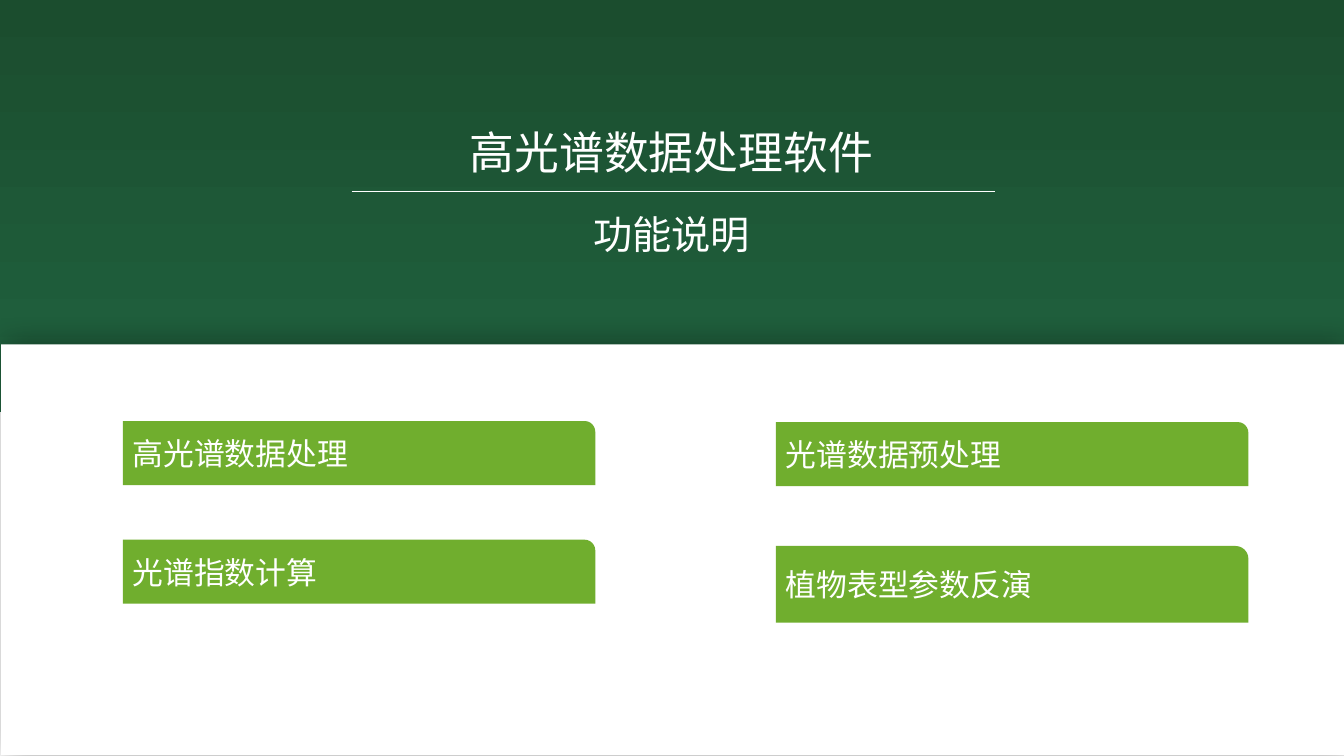
import lxml.etree
import pptx
import pptx.dml.color
import pptx.enum.shapes
import pptx.enum.text
import pptx.oxml
import pptx.oxml.ns
import pptx.util

PX = 9525  # EMU per px, 96 px to the inch
FONT = "Noto Sans CJK SC"
WHITE = pptx.dml.color.RGBColor(0xFF, 0xFF, 0xFF)
LEAF_GREEN = pptx.dml.color.RGBColor(0x70, 0xAE, 0x2E)
DARK_GREEN = pptx.dml.color.RGBColor(0x1B, 0x4D, 0x2E)
MID_GREEN = pptx.dml.color.RGBColor(0x20, 0x62, 0x3F)
SHAPES = pptx.enum.shapes.MSO_SHAPE
ALIGN = pptx.enum.text.PP_ALIGN
ANCHOR = pptx.enum.text.MSO_ANCHOR
AUTO_SIZE = pptx.enum.text.MSO_AUTO_SIZE

PANEL_SHADOW = (
    f'<a:effectLst {pptx.oxml.ns.nsdecls("a")}>'
    f'<a:outerShdw blurRad="{22 * 12700}" dist="{3 * 12700}" dir="0" algn="ctr" rotWithShape="0">'
    '<a:srgbClr val="000000"><a:alpha val="40000"/></a:srgbClr>'
    '</a:outerShdw></a:effectLst>'
)


def emu(*lengths):
    return [pptx.util.Emu(length * PX) for length in lengths]


def write_text(shape, text, size, alignment, anchor, auto_size=AUTO_SIZE.NONE):
    frame = shape.text_frame
    frame.word_wrap = True
    frame.auto_size = auto_size
    frame.vertical_anchor = anchor
    paragraph = frame.paragraphs[0]
    paragraph.text = text
    paragraph.alignment = alignment
    font = paragraph.font
    font.size = pptx.util.Pt(size)
    font.color.rgb = WHITE
    font.name = FONT
    # East Asian typeface, next to the Latin one
    latin = paragraph._p.pPr.find(".//" + pptx.oxml.ns.qn("a:latin"))
    east_asian = lxml.etree.Element(pptx.oxml.ns.qn("a:ea"), typeface=FONT)
    latin.addnext(east_asian)


def add_block(slide, kind, box, color=None):
    shape = slide.shapes.add_shape(kind, *emu(*box))
    shape.shadow.inherit = False
    shape.line.fill.background()
    if color is not None:
        shape.fill.solid()
        shape.fill.fore_color.rgb = color
    return shape


def add_background(slide, box):
    left, top, width, height = box

    # Green header band
    band = add_block(slide, SHAPES.RECTANGLE, (left, top, width, 392))
    band.fill.gradient()
    band.fill.gradient_angle = 270
    for stop, color in zip(band.fill.gradient_stops, (DARK_GREEN, MID_GREEN)):
        stop.color.rgb = color

    # White panel with a soft shadow over the band
    panel = add_block(slide, SHAPES.RECTANGLE, (left + 1, top + 328, width, height - 329), WHITE)
    properties = panel.element.spPr
    properties.remove(properties.find(pptx.oxml.ns.qn("a:effectLst")))
    properties.append(pptx.oxml.parse_xml(PANEL_SHADOW))


def add_heading(slide, box):
    left, top, width, height = box

    # Software name
    name_box = slide.shapes.add_textbox(*emu(left, top, width, 61))
    write_text(name_box, "高光谱数据处理软件", 32, ALIGN.CENTER, ANCHOR.TOP,
               AUTO_SIZE.SHAPE_TO_FIT_TEXT)

    # Slide title, brought in front of the background
    title = slide.shapes.title
    title.left, title.top, title.width, title.height = emu(left, top + 54, width, height - 54)
    write_text(title, "功能说明", 28, ALIGN.CENTER, ANCHOR.MIDDLE)
    slide.shapes.element.append(title.element)

    # Divider
    divider = slide.shapes.add_connector(
        pptx.enum.shapes.MSO_CONNECTOR.STRAIGHT,
        *emu(left + 102, top + 68, left + width - 98, top + 68))
    divider.line.color.rgb = WHITE
    divider.line.width = pptx.util.Pt(0.25)
    divider.element.spPr.append(lxml.etree.Element(pptx.oxml.ns.qn("a:effectLst")))


def add_functions(slide, box):
    left, top, width, _ = box
    tag_width = 450
    right = left + width - tag_width
    tags = [
        ("高光谱数据处理", left, 0, 61),
        ("光谱指数计算", left, 113, 61),
        ("光谱数据预处理", right, 1, 61),
        ("植物表型参数反演", right, 119, 73),
    ]
    for text, tag_left, offset, height in tags:
        tag = add_block(slide, SHAPES.ROUND_1_RECTANGLE,
                        (tag_left, top + offset, tag_width, height), LEAF_GREEN)
        write_text(tag, text, 22, ALIGN.LEFT, ANCHOR.MIDDLE)


def main():
    presentation = pptx.Presentation()
    presentation.slide_width, presentation.slide_height = emu(1280, 720)
    slide = presentation.slides.add_slide(presentation.slide_layouts[5])
    add_background(slide, (0, 0, 1280, 720))
    add_heading(slide, (233, 114, 813, 164))
    add_functions(slide, (117, 401, 1072, 192))
    presentation.save("out.pptx")


if __name__ == "__main__":
    main()
